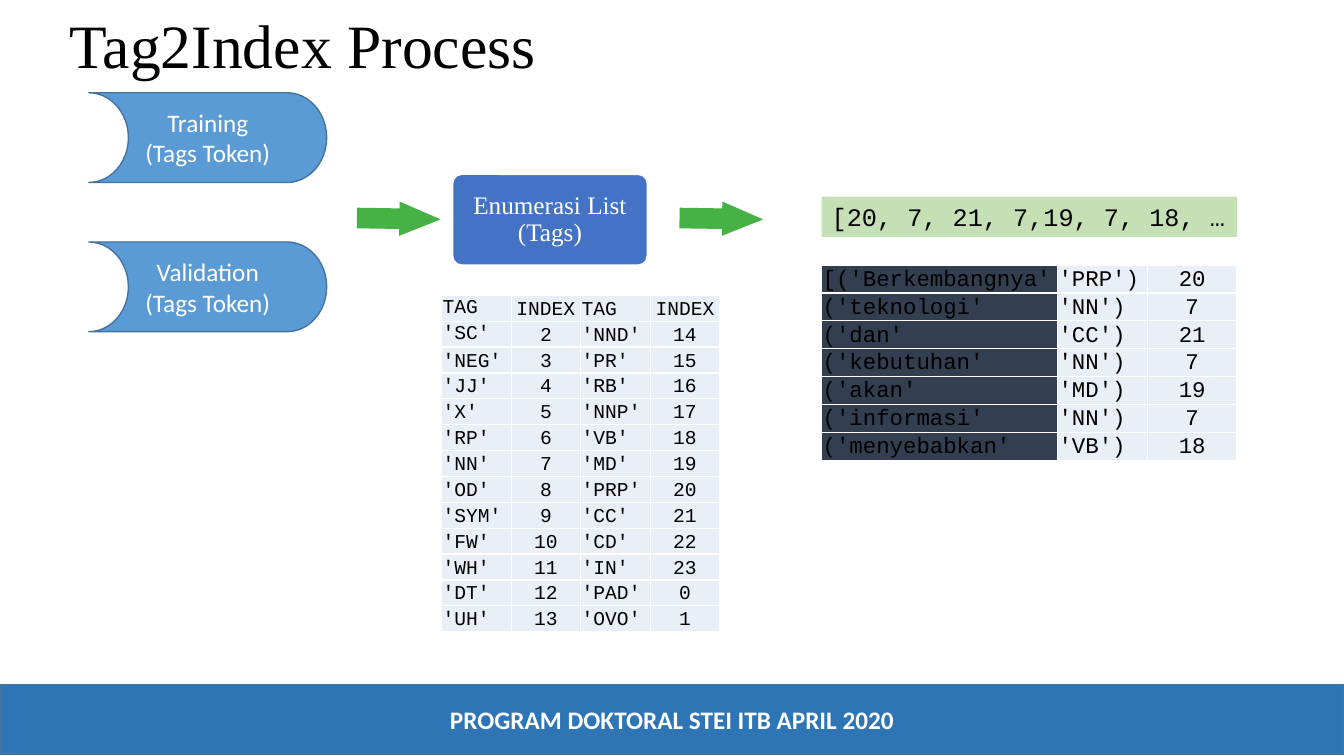
"""Build the Tag2Index Process slide."""
from dataclasses import dataclass

from lxml.etree import SubElement
from pptx import Presentation
from pptx.dml.color import RGBColor as RGB
from pptx.enum.shapes import MSO_SHAPE as SHAPE
from pptx.enum.text import MSO_ANCHOR as ANCHOR, PP_ALIGN as ALIGN
from pptx.oxml.ns import qn
from pptx.util import Inches, Pt


@dataclass(frozen=True)
class Theme:
    black: str = "000000"
    white: str = "FFFFFF"
    footer: str = "2E75B6"
    edge: str = "43739E"
    storage: str = "5B9BD5"
    process: str = "4472C4"
    arrow: str = "46B246"
    result: str = "C5E0B4"
    cell: str = "EAEFF7"
    dark_cell: str = "333F50"
    sans: str = "Calibri"
    serif: str = "Times New Roman"
    mono: str = "Courier New"
    title_size: int = 44
    body_size: int = 18
    token_size: int = 16
    tag_size: int = 14


T = Theme()

TITLE = "Tag2Index Process"
FOOTER = "PROGRAM DOKTORAL STEI ITB APRIL 2020"
SOURCES = ["Training", "Validation"]
SOURCE_NOTE = "(Tags Token)"
PROCESS = "Enumerasi List (Tags)"
RESULT = "[20, 7, 21, 7,19, 7, 18, …"
TAG_HEADER = ("TAG", "INDEX")
LEFT_TAGS = ["SC", "NEG", "JJ", "X", "RP", "NN", "OD", "SYM", "FW", "WH", "DT", "UH"]
RIGHT_TAGS = ["NND", "PR", "RB", "NNP", "VB", "MD", "PRP", "CC", "CD", "IN", "PAD", "OVO"]
RIGHT_INDEXES = [*range(14, 24), 0, 1]
TOKENS = [
    ("[('Berkembangnya'", "'PRP')", 20),
    ("('teknologi'", "'NN')", 7),
    ("('dan'", "'CC')", 21),
    ("('kebutuhan'", "'NN')", 7),
    ("('akan'", "'MD')", 19),
    ("('informasi'", "'NN')", 7),
    ("('menyebabkan'", "'VB')", 18),
]

SOURCE_TOP, SOURCE_STEP = 0.92, 1.48
ARROW_LEFTS = [3.54, 6.74]


def write(tf, lines, font, size, color, align=ALIGN.CENTER, bold=False, spacing=1.0):
    for i, line in enumerate(lines):
        p = tf.add_paragraph() if i else tf.paragraphs[0]
        p.text = line
        p.alignment = align
        p.line_spacing = spacing
        p.font.name, p.font.size, p.font.bold = font, Pt(size), bold
        p.font.color.rgb = RGB.from_string(color)


def add_block(slide, kind, box, fill, line=None):
    sp = slide.shapes.add_shape(kind, *map(Inches, box))
    sp.shadow.inherit = False
    sp.fill.solid()
    sp.fill.fore_color.rgb = RGB.from_string(fill)
    if line:
        sp.line.color.rgb = RGB.from_string(line)
        sp.line.width = Pt(1)
    else:
        sp.line.fill.background()
    sp.text_frame.word_wrap = True
    sp.text_frame.vertical_anchor = ANCHOR.MIDDLE
    return sp


def add_borders(cell):
    tc_pr = cell._tc.get_or_add_tcPr()
    for i, side in enumerate(("lnL", "lnR", "lnT", "lnB")):
        ln = tc_pr.makeelement(qn(f"a:{side}"), {"w": str(Pt(1))})
        fill = SubElement(ln, qn("a:solidFill"))
        SubElement(fill, qn("a:srgbClr"), val=T.white)
        tc_pr.insert(i, ln)


def add_grid(slide, left, top, widths, row_height, rows, size, fills, centered):
    box = (left, top, sum(widths), row_height * len(rows))
    table = slide.shapes.add_table(len(rows), len(widths), *map(Inches, box)).table
    table.first_row = table.horz_banding = False
    for column, width in zip(table.columns, widths):
        column.width = Inches(width)
    for r, values in enumerate(rows):
        table.rows[r].height = Inches(row_height)
        for c, value in enumerate(values):
            cell = table.cell(r, c)
            cell.margin_left = cell.margin_right = cell.margin_top = Inches(0.01)
            cell.margin_bottom = 0
            cell.vertical_anchor = ANCHOR.BOTTOM
            cell.fill.solid()
            cell.fill.fore_color.rgb = RGB.from_string(fills[c])
            add_borders(cell)
            align = ALIGN.CENTER if c in centered else ALIGN.LEFT
            write(cell.text_frame, [str(value)], T.mono, size, T.black, align)
    return table


def main():
    prs = Presentation()
    prs.slide_width, prs.slide_height = Inches(13.33), Inches(7.5)
    slide = prs.slides.add_slide(prs.slide_layouts[6])

    tf = slide.shapes.add_textbox(*map(Inches, (0.59, 0, 11.5, 0.97))).text_frame
    tf.word_wrap = True
    tf.vertical_anchor = ANCHOR.MIDDLE
    write(tf, [TITLE], T.serif, T.title_size, T.black, ALIGN.LEFT, spacing=0.9)

    footer = add_block(slide, SHAPE.RECTANGLE, (0, 6.79, 13.33, 0.69), T.footer, T.edge)
    write(footer.text_frame, [FOOTER], T.sans, T.body_size, T.white, bold=True)

    for i, source in enumerate(SOURCES):
        box = (0.88, SOURCE_TOP + i * SOURCE_STEP, 2.36, 0.89)
        sp = add_block(slide, SHAPE.FLOWCHART_STORED_DATA, box, T.storage, T.edge)
        sp.rotation = 180
        sp._element.spPr.xfrm.set("flipV", "1")
        write(sp.text_frame, [source, SOURCE_NOTE], T.sans, T.body_size, T.white)

    process = add_block(slide, SHAPE.ROUNDED_RECTANGLE, (4.49, 1.73, 1.93, 0.9), T.process, T.white)
    process.adjustments[0] = 0.1
    write(process.text_frame, [PROCESS], T.serif, T.body_size, T.white, spacing=0.9)

    for left in ARROW_LEFTS:
        arrow = add_block(slide, SHAPE.RIGHT_ARROW, (left, 2, 0.83, 0.34), T.arrow)
        arrow.rotation = 0.9
        arrow.adjustments[0], arrow.adjustments[1] = 0.6, 1.2

    left_rows = [(f"'{tag}'", i) for i, tag in enumerate(LEFT_TAGS, 2)]
    right_rows = [(f"'{tag}'", i) for tag, i in zip(RIGHT_TAGS, RIGHT_INDEXES)]
    tag_rows = [TAG_HEADER * 2] + [a + b for a, b in zip(left_rows, right_rows)]
    tags = add_grid(slide, 4.38, 2.93, [0.69] * 4, 3.34 / len(tag_rows), tag_rows,
                    T.tag_size, [T.cell] * 4, {1, 3})
    for r in range(2):
        tags.cell(r, 0).vertical_anchor = ANCHOR.MIDDLE

    add_grid(slide, 8.15, 2.63, [2.34, 0.89, 0.89], 0.26, TOKENS,
             T.token_size, [T.dark_cell, T.cell, T.cell], {2})

    result = add_block(slide, SHAPE.RECTANGLE, (8.15, 1.95, 4.12, 0.4), T.result)
    result.text_frame.word_wrap = False
    result.text_frame.vertical_anchor = ANCHOR.TOP
    write(result.text_frame, [RESULT], T.mono, T.body_size, T.black, ALIGN.LEFT)

    prs.save("out.pptx")


if __name__ == "__main__":
    main()
